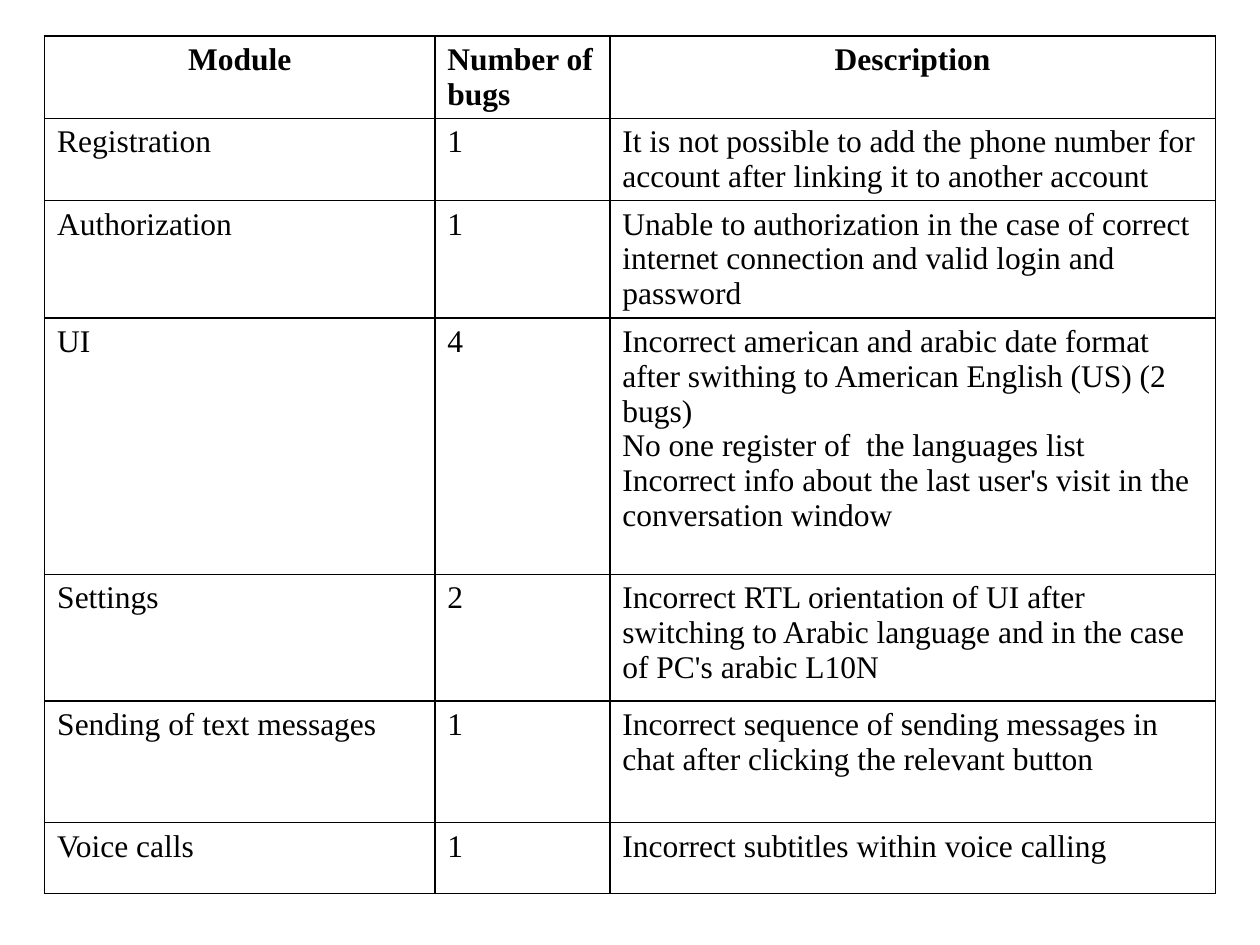
"""Build a slide with a table of bugs by module."""
from lxml import etree
from pptx import Presentation
from pptx.dml.color import RGBColor
from pptx.enum.text import PP_ALIGN
from pptx.oxml.ns import qn
from pptx.util import Pt

LEFT, CENTER = PP_ALIGN.LEFT, PP_ALIGN.CENTER

theme = {
    "ink": "000000",
    "paper": "FFFFFF",
    "font": {"name": "Times New Roman", "size": Pt(18)},
    "line": Pt(1),
}

bugs = [
    ("Module", "Number of bugs", "Description"),
    ("Registration", "1",
     "It is not possible to add the phone number for account after linking it to another account"),
    ("Authorization", "1",
     "Unable to authorization in the case of correct internet connection and valid login and password"),
    ("UI", "4",
     "Incorrect american and arabic date format after swithing to American English (US) (2 bugs)\n"
     "No one register of  the languages list\n"
     "Incorrect info about the last user's visit in the conversation window"),
    ("Settings", "2",
     "Incorrect RTL orientation of UI after switсhing to Arabic language "
     "and in the case of PC's arabic L10N"),
    ("Sending of text messages", "1",
     "Incorrect sequence of sending messages in chat after clicking the relevant button"),
    ("Voice calls", "1", "Incorrect subtitles within voice calling"),
]
widths = [223, 100, 346]
heights = [47, 47, 67, 146.5, 72.5, 69.5, 40.5]


def add_edges(cell):
    props = cell._tc.get_or_add_tcPr()
    for spot, side in enumerate(("lnL", "lnR", "lnT", "lnB")):
        edge = etree.Element(qn("a:" + side), w=str(theme["line"]))
        fill = etree.SubElement(edge, qn("a:solidFill"))
        etree.SubElement(fill, qn("a:srgbClr"), val=theme["ink"])
        props.insert(spot, edge)


deck = Presentation()
deck.slide_width, deck.slide_height = Pt(720), Pt(540)
slide = deck.slides.add_slide(deck.slide_layouts[6])

frame = slide.shapes.add_table(
    len(bugs), len(widths), Pt(25.5), Pt(20.5), Pt(sum(widths)), Pt(sum(heights)))
table = frame.table
for col, width in zip(table.columns, widths):
    col.width = Pt(width)
for row, height in zip(table.rows, heights):
    row.height = Pt(height)

for r, texts in enumerate(bugs):
    for c, text in enumerate(texts):
        cell = table.cell(r, c)
        cell.text = text
        cell.fill.solid()
        cell.fill.fore_color.rgb = RGBColor.from_string(theme["paper"])
        add_edges(cell)
        for para in cell.text_frame.paragraphs:
            para.alignment = CENTER if r == 0 and c != 1 else LEFT
            font = para.runs[0].font
            for key, value in {**theme["font"], "bold": r == 0}.items():
                setattr(font, key, value)
            font.color.rgb = RGBColor.from_string(theme["ink"])

deck.save("out.pptx")
